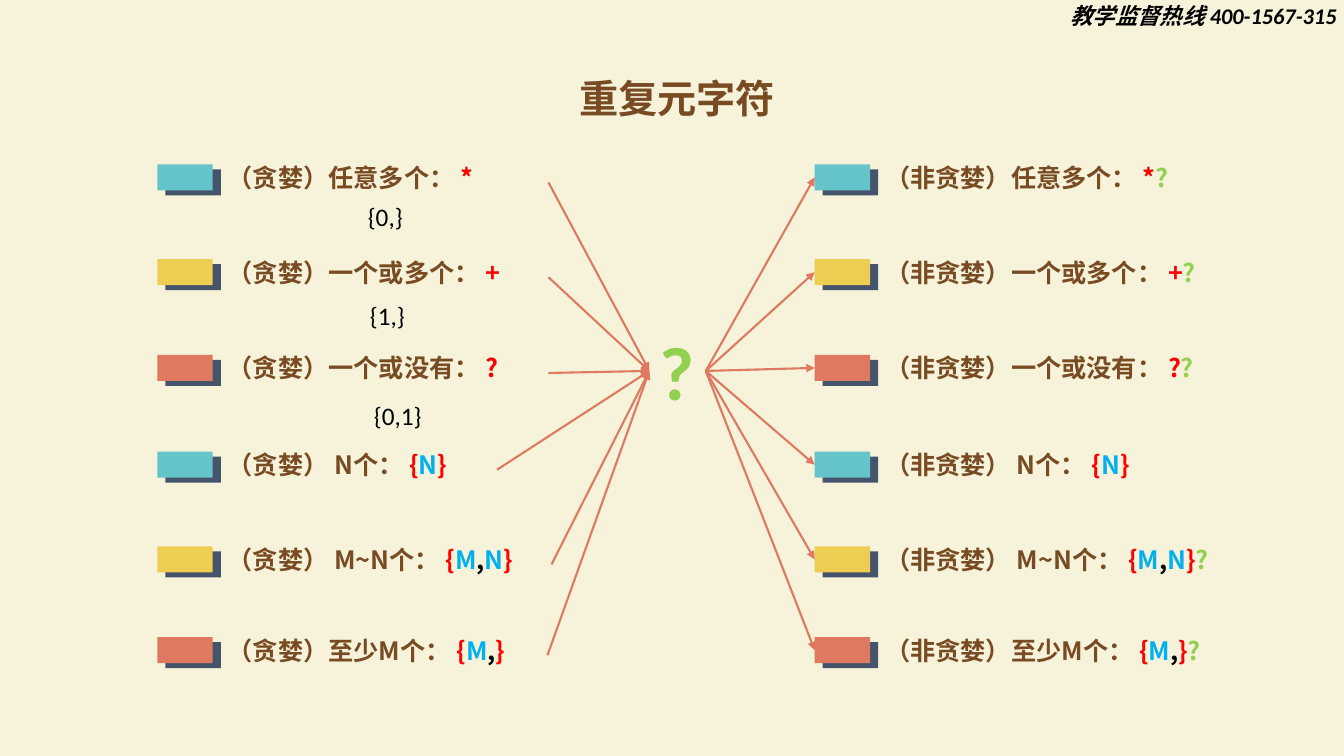
from pptx import Presentation
from pptx.dml.color import RGBColor
from pptx.enum.shapes import MSO_CONNECTOR as CONN, MSO_SHAPE as SHAPE
from pptx.enum.text import MSO_ANCHOR as ANCHOR, MSO_AUTO_SIZE as AUTO, PP_ALIGN as ALIGN
from pptx.oxml.ns import qn
from pptx.util import Pt
from lxml import etree

PX = 9144  # EMU per px, 100 px to the inch

CREAM = RGBColor(0xF7, 0xF2, 0xDA)
BROWN = RGBColor(0x78, 0x4B, 0x23)
NAVY = RGBColor(0x44, 0x54, 0x6A)
TEAL = RGBColor(0x65, 0xC4, 0xCA)
YELLOW = RGBColor(0xEE, 0xCE, 0x52)
CORAL = RGBColor(0xDF, 0x7A, 0x60)
RED = RGBColor(0xFF, 0x00, 0x00)
BLUE = RGBColor(0x00, 0xB0, 0xF0)
GREEN = RGBColor(0x92, 0xD0, 0x50)
BLACK = RGBColor(0x00, 0x00, 0x00)

SANS = "Noto Sans CJK SC"
LATIN = "Calibri"
SYMBOL_COLORS = {"M": BLUE, "N": BLUE, ",": BLACK}

# block top, block colour, label, symbol, non-greedy suffix, greedy label width
ROWS = [
    (163, TEAL, "任意多个： ", "*", "?", 328),
    (257, YELLOW, "一个或多个： ", "+", "?", 328),
    (352, CORAL, "一个或没有： ", "?", "?", 328),
    (448, TEAL, " N个： ", "{N}", "", 277),
    (542, YELLOW, " M~N个： ", "{M,N}", "?", 331),
    (632, CORAL, "至少M个： ", "{M,}", "?", 327),
]
EQUIVALENTS = [(355, 195, 55, "{0,}"), (357, 293, 55, "{1,}"), (361, 392, 68, "{0,1}")]
LEFT_X, RIGHT_X = 156, 808
HUB_LEFT, HUB_RIGHT, HUB_Y = 644, 700, 368


def emu(*lengths):
    return [n * PX for n in lengths]


def add_run(p, text, color, size=18, font=SANS, bold=True, italic=False):
    r = p.add_run()
    r.text = text
    formats = {"name": font, "size": Pt(size), "bold": bold, "italic": italic}
    for name, value in formats.items():
        setattr(r.font, name, value)
    r.font.color.rgb = color
    etree.SubElement(r.font._element, qn("a:ea")).set("typeface", SANS)


def add_text(s, box, wrap=True):
    tf = s.shapes.add_textbox(*emu(*box)).text_frame
    tf.auto_size = AUTO.NONE
    tf.word_wrap = wrap
    return tf.paragraphs[0]


def add_block(s, x, y, color):
    """Coloured block over its offset navy backing."""
    group = s.shapes.add_group_shape()
    for dx, dy, fill in ((8, 5, NAVY), (0, 0, color)):
        sp = group.shapes.add_shape(SHAPE.RECTANGLE, *emu(x + dx, y + dy, 55, 26))
        sp.shadow.inherit = False
        sp.fill.solid()
        sp.fill.fore_color.rgb = fill
        sp.line.fill.background()


def add_label(s, x, y, width, label, symbol, suffix=""):
    p = add_text(s, (x, y, width, 32))
    p.line_spacing = Pt(15)
    add_run(p, label, BROWN)
    for char in symbol:
        add_run(p, char, SYMBOL_COLORS.get(char, RED))
    if suffix:
        add_run(p, suffix, GREEN)


def add_arrow(s, x1, y1, x2, y2):
    line = s.shapes.add_connector(CONN.STRAIGHT, *emu(x1, y1, x2, y2))
    line.line.color.rgb = CORAL
    line.line.width = Pt(1.5)
    etree.SubElement(line.line._get_or_add_ln(), qn("a:tailEnd")).set("type", "triangle")
    etree.SubElement(line._element.spPr, qn("a:effectLst"))


def add_title(s, text):
    title = s.shapes.title
    box = dict(zip(("left", "top", "width", "height"), emu(516, 69, 311, 57)))
    for name, value in box.items():
        setattr(title, name, value)
    tf = title.text_frame
    tf.auto_size = AUTO.NONE
    tf.vertical_anchor = ANCHOR.TOP
    tf.paragraphs[0].alignment = ALIGN.CENTER
    add_run(tf.paragraphs[0], text, BROWN, 28)


def main():
    prs = Presentation()
    prs.slide_width, prs.slide_height = emu(1333, 750)
    s = prs.slides.add_slide(prs.slide_layouts[5])
    s.background.fill.solid()
    s.background.fill.fore_color.rgb = CREAM

    # Header and title
    p = add_text(s, (1052, 0, 281, 39), wrap=False)
    p.line_spacing = 0.9
    add_run(p, "教学监督热线 400-1567-315", BLACK, 16, LATIN, italic=True)
    add_title(s, "重复元字符")

    # Greedy rows lead into the hub, non-greedy rows lead out of it
    for y, color, label, symbol, suffix, width in ROWS:
        text_x = LEFT_X + 60
        add_block(s, LEFT_X, y, color)
        add_label(s, text_x, y + 2, width, "（贪婪）" + label, symbol)
        add_arrow(s, text_x + width, y + 18, HUB_LEFT, HUB_Y)
        add_block(s, RIGHT_X, y, color)
        add_label(s, RIGHT_X + 60, y + 2, 380, "（非贪婪）" + label, symbol, suffix)
        add_arrow(s, HUB_RIGHT, HUB_Y, RIGHT_X, y + 13)

    # Hub question mark
    p = add_text(s, (644, 317, 55, 101), wrap=False)
    p.alignment = ALIGN.CENTER
    add_run(p, "?", GREEN, 54, LATIN)

    # Equivalent brace forms
    for x, y, width, text in EQUIVALENTS:
        add_run(add_text(s, (x, y, width, 40), wrap=False), text, BLACK, 18, LATIN, bold=False)

    prs.save("out.pptx")


if __name__ == "__main__":
    main()
